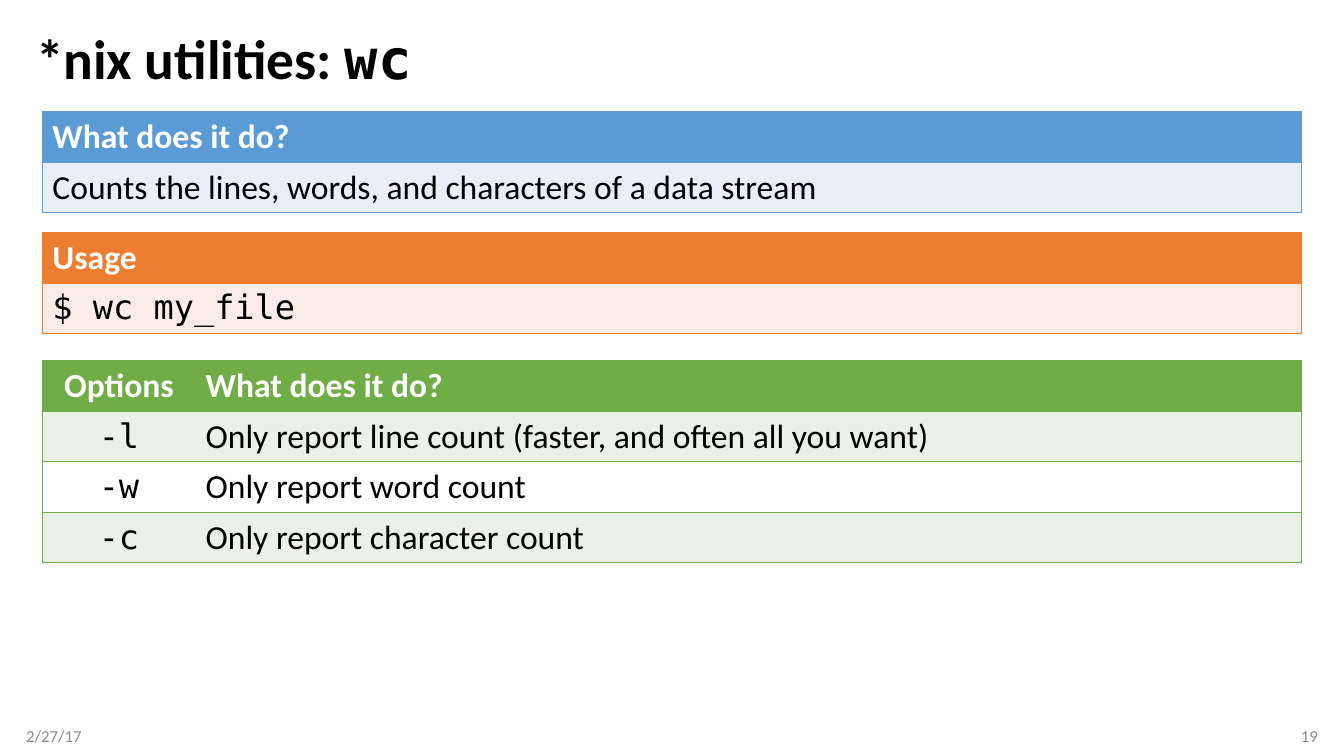
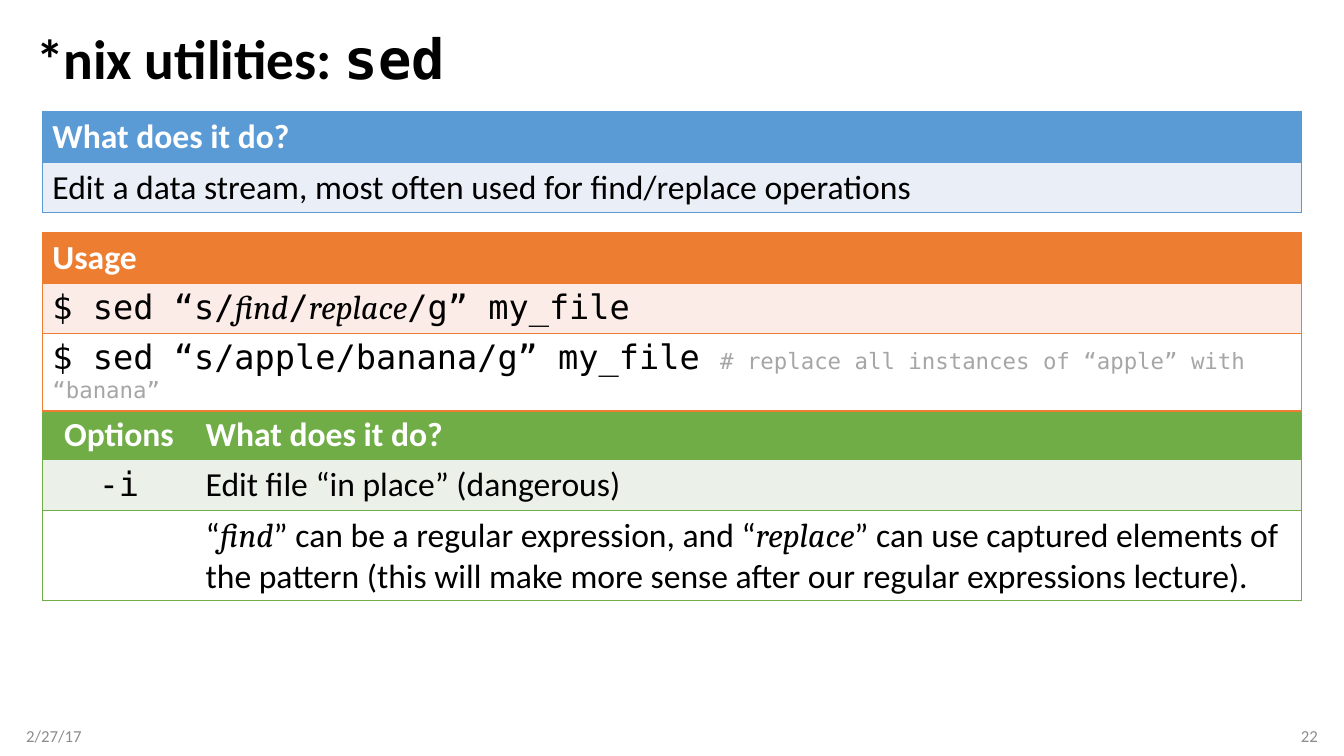
from dataclasses import dataclass

from lxml import etree
from pptx import Presentation
from pptx.dml.color import RGBColor
from pptx.enum import text
from pptx.oxml import ns
from pptx.util import Inches, Pt


@dataclass(frozen=True)
class Theme:
    sans: str = "Calibri"
    mono: str = "DejaVu Sans Mono"
    serif: str = "Cambria"
    black: str = "000000"
    white: str = "FFFFFF"
    footer_gray: str = "8C8C8C"
    comment_gray: str = "A6A6A6"
    blue: tuple = ("5B9BD5", "EAEFF7")  # header and border, band
    orange: tuple = ("ED7D31", "FCECE8")
    green: tuple = ("70AD47", "EBF1E9")
    title: float = 39.6
    body: float = 24
    comment: float = 16
    footer: float = 12


T = Theme()
LEFT, ROW_H = 0.42, 0.41
WIDE, OPTION_COLS = [12.49], [1.52, 10.97]
LEFT_AL, CENTER, RIGHT = text.PP_ALIGN.LEFT, text.PP_ALIGN.CENTER, text.PP_ALIGN.RIGHT

# Run styles: font, size, colour, bold, italic
STYLES = {
    "title": (T.sans, T.title, T.black, True, False),
    "title code": (T.mono, T.title, T.black, True, False),
    "footer": (T.sans, T.footer, T.footer_gray, False, False),
    "head": (T.sans, T.body, T.white, True, False),
    "text": (T.sans, T.body, T.black, False, False),
    "code": (T.mono, T.body, T.black, False, False),
    "term": (T.serif, T.body, T.black, False, True),
    "comment": (T.mono, T.comment, T.comment_gray, False, False),
}

DOES_HEAD = [[("head", "What does it do?")]]
USAGE_HEAD = [[("head", "Usage")]]
OPTIONS_HEAD = [[("head", "Options")], [("head", "What does it do?")]]

# Every table row is a list of cells, every cell a list of (style, text) runs.
SLIDES = [
    {
        "command": "wc", "number": "19", "options_top": 3.58,
        "does": [[[("text", "Counts the lines, words, and characters of a data stream")]]],
        "usage": [[[("code", "$ wc my_file")]]],
        "options": [
            [[("code", "-l")], [("text", "Only report line count (faster, and often all you want)")]],
            [[("code", "-w")], [("text", "Only report word count")]],
            [[("code", "-c")], [("text", "Only report character count")]],
        ],
    },
    {
        "command": "sed", "number": "22", "options_top": 4.06,
        "does": [[[("text", "Edit a data stream, most often used for find/replace operations")]]],
        "usage": [
            [[("code", "$ sed “s/"), ("term", "find"), ("code", "/"),
              ("term", "replace"), ("code", "/g” my_file")]],
            [[("code", "$ sed “s/apple/banana/g” my_file "),
              ("comment", "# replace all instances of “apple” with “banana”")]],
        ],
        "options": [
            [[("code", "-i")], [("text", "Edit file “in place” (dangerous)")]],
            [[], [("text", "“"), ("term", "find"),
                  ("text", "” can be a regular expression, and “"), ("term", "replace"),
                  ("text", "” can use captured elements of the pattern (this will make "
                           "more sense after our regular expressions lecture).")]],
        ],
    },
]


def add_runs(p, runs, align=LEFT_AL):
    p.alignment = align
    for style, words in runs:
        r = p.add_run()
        r.text = words
        r.font.name, size, color, r.font.bold, r.font.italic = STYLES[style]
        r.font.size = Pt(size)
        r.font.color.rgb = RGBColor.from_string(color)


def add_grid(slide, top, cols, rows, colors):
    """Add a table with a solid header, banded rows and no inner vertical lines."""
    main, band = colors
    table = slide.shapes.add_table(
        len(rows), len(cols), Inches(LEFT), Inches(top),
        Inches(sum(cols)), Inches(ROW_H * len(rows))).table
    table.horz_banding = False
    for column, width in zip(table.columns, cols):
        column.width = Inches(width)
    for i, row in enumerate(rows):
        for j, runs in enumerate(row):
            cell = table.cell(i, j)
            if len(cols) > 1:
                cell.vertical_anchor = text.MSO_ANCHOR.MIDDLE
            add_runs(cell.text_frame.paragraphs[0], runs,
                     CENTER if j < len(cols) - 1 else LEFT_AL)
            inner = {"L": j > 0, "R": j < len(cols) - 1}
            for side in "LRTB":
                ln = etree.SubElement(cell._tc.get_or_add_tcPr(), ns.qn("a:ln" + side), w=str(Pt(1)))
                if inner.get(side):
                    etree.SubElement(ln, ns.qn("a:noFill"))
                else:
                    fill = etree.SubElement(ln, ns.qn("a:solidFill"))
                    etree.SubElement(fill, ns.qn("a:srgbClr"), val=main)
            cell.fill.solid()
            cell.fill.fore_color.rgb = RGBColor.from_string(
                main if i == 0 else band if i % 2 else T.white)


prs = Presentation()
prs.slide_width, prs.slide_height = Inches(13.33), Inches(7.5)

for content in SLIDES:
    s = prs.slides.add_slide(prs.slide_layouts[6])
    title = [("title", "*nix utilities: "), ("title code", content["command"])]
    # Left, top, width, height, left and right inset, alignment, runs
    boxes = [
        (0.26, 0.25, 12.81, 0.72, 0.1, 0.1, LEFT_AL, title),
        (0.26, 7.1, 3, 0.4, 0, 0.1, LEFT_AL, [("footer", "2/27/17")]),
        (10.07, 7.1, 3, 0.4, 0.1, 0, RIGHT, [("footer", content["number"])]),
    ]
    for x, y, w, h, inset_l, inset_r, align, runs in boxes:
        tf = s.shapes.add_textbox(Inches(x), Inches(y), Inches(w), Inches(h)).text_frame
        tf.word_wrap = True
        tf.vertical_anchor = text.MSO_ANCHOR.MIDDLE
        tf.margin_left, tf.margin_right = Inches(inset_l), Inches(inset_r)
        p = tf.paragraphs[0]
        if runs is title:
            p.line_spacing = 0.9
        add_runs(p, runs, align)

    add_grid(s, 1.11, WIDE, [DOES_HEAD] + content["does"], T.blue)
    add_grid(s, content["options_top"], OPTION_COLS, [OPTIONS_HEAD] + content["options"], T.green)
    add_grid(s, 2.31, WIDE, [USAGE_HEAD] + content["usage"], T.orange)

prs.save("out.pptx")
